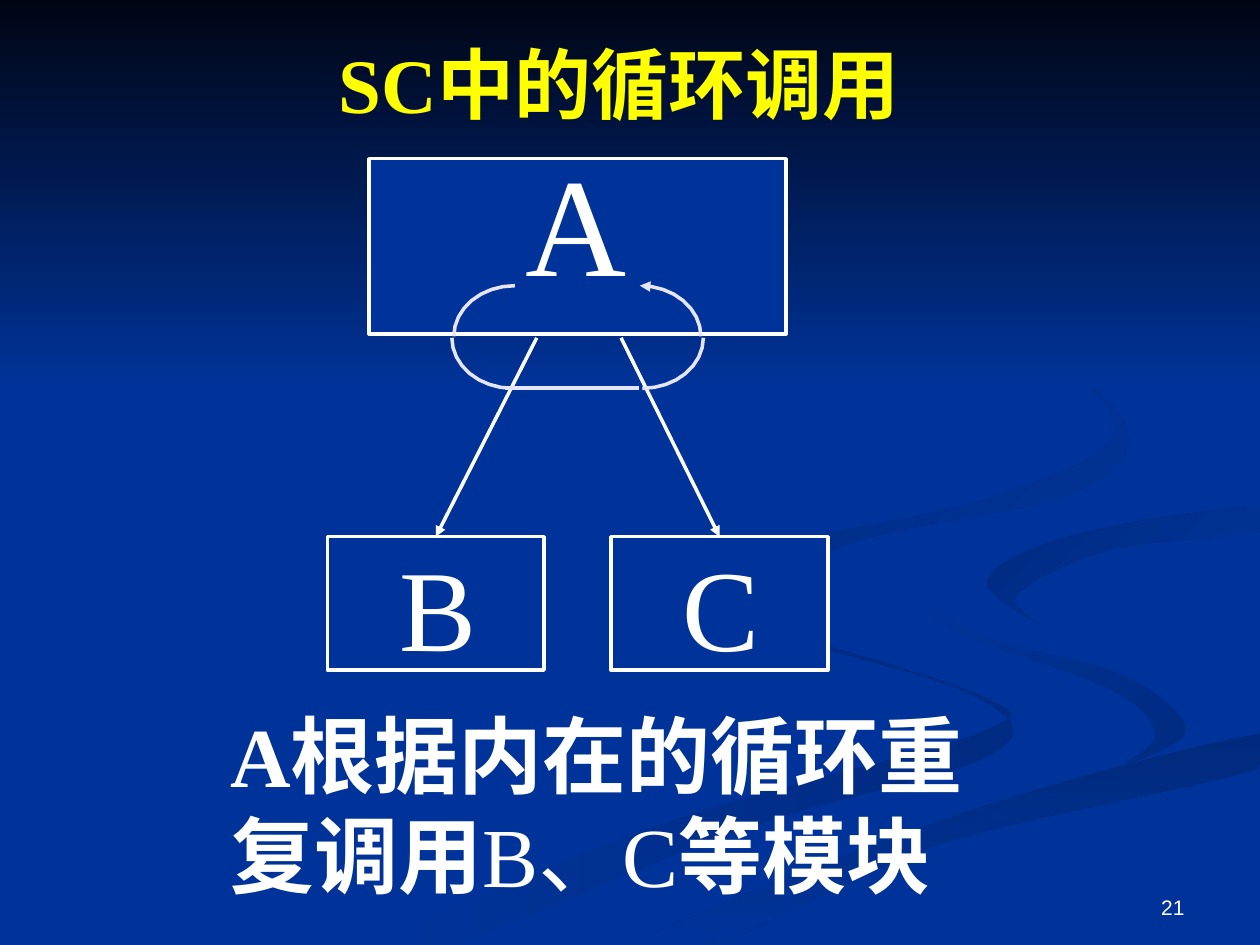
from math import cos, radians, sin

from lxml import etree
from pptx import Presentation
from pptx.dml.color import RGBColor
from pptx.enum.shapes import MSO_CONNECTOR, MSO_SHAPE
from pptx.enum.text import MSO_ANCHOR, MSO_AUTO_SIZE, PP_ALIGN
from pptx.oxml.ns import qn
from pptx.util import Cm, Pt

RECTANGLE = MSO_SHAPE.RECTANGLE
STRAIGHT = MSO_CONNECTOR.STRAIGHT
MIDDLE, BOTTOM = MSO_ANCHOR.MIDDLE, MSO_ANCHOR.BOTTOM
NO_FIT, FIT_SHAPE = MSO_AUTO_SIZE.NONE, MSO_AUTO_SIZE.SHAPE_TO_FIT_TEXT
CENTER, RIGHT = PP_ALIGN.CENTER, PP_ALIGN.RIGHT

SERIF, SANS, CJK = "Times New Roman", "Arial", "Noto Sans CJK SC"
HEX = {
    "blue": "003399", "night": "000514", "shade": "002B82", "deep": "002A7D",
    "white": "FFFFFF", "yellow": "FFFF00", "loop": "E5E5FF",
}
COLORS = {name: RGBColor.from_string(value) for name, value in HEX.items()}
STEPS = 8  # segments per curve piece

deck = Presentation()
deck.slide_width, deck.slide_height = Cm(25.4), Cm(19.05)
page = deck.slides.add_slide(deck.slide_layouts[5])
page.background.fill.solid()
page.background.fill.fore_color.rgb = COLORS["blue"]


def outline(points, closed):
    corners = [(Cm(x), Cm(y)) for x, y in points]
    builder = page.shapes.build_freeform(*corners[0], scale=1)
    builder.add_line_segments(corners[1:], close=closed)
    shape = builder.convert_to_shape()
    shape.shadow.inherit = False
    return shape


def write(para, runs, size, color):
    for text, font, bold in runs:
        span = para.add_run()
        span.text = text
        span.font.size, span.font.bold = Pt(size), bold
        span.font.color.rgb = COLORS[color]
        span.font.name = font
        if font == CJK:
            etree.SubElement(span.font._element, qn("a:ea")).set("typeface", font)


# Background ribbons: start colour, end colour, clockwise angle, guide points
ribbons = [
    ("blue", "shade", 0, [
        (14.6, 11.7), (14.8, 12.4), (19.7, 14), (19.7, 14.8), (13.7, 16.5), (7.6, 19),
        (9.2, 19), (15, 16.7), (20, 15.2), (19.6, 14), (15.1, 12.6)]),
    ("blue", "shade", 45, [
        (18.4, 11.8), (19.2, 12.7), (22.4, 13.9), (23.3, 14.8), (22.7, 15.4),
        (23.9, 14.7), (22.6, 13.6), (19.7, 12.8)]),
    ("deep", "blue", 90, [
        (12.8, 19), (14.5, 19), (19, 17), (25.35, 15.5), (25.35, 14.8), (19.4, 16.4)]),
    ("shade", "blue", 45, [
        (19.9, 11.7), (21, 12.6), (20.5, 12), (22.3, 11.1), (25.35, 10.7),
        (25.35, 10.2), (21.6, 10.8)]),
    ("shade", "blue", 45, [
        (17.3, 10.9), (21.7, 9.9), (22.6, 8.4), (19.4, 5.9), (22.5, 8.5),
        (20.1, 10), (15.2, 11.2), (15.8, 12.7), (15.1, 12)]),
]
backdrop = []
for start, end, angle, guides in ribbons:
    # A Catmull-Rom curve rounds the closed outline
    smooth = []
    for index, here in enumerate(guides):
        before = guides[index - 1]
        after, beyond = (guides[(index + ahead) % len(guides)] for ahead in (1, 2))
        for step in range(STEPS):
            t = step / STEPS
            x, y = (
                b + t / 2 * (c - a + t * (2 * a - 5 * b + 4 * c - d + t * (3 * (b - c) + d - a)))
                for a, b, c, d in zip(before, here, after, beyond))
            smooth.append((min(x, 25.4), min(y, 19.05)))
    backdrop.append((outline(smooth, True), start, end, angle))
band = page.shapes.add_shape(RECTANGLE, 0, 0, deck.slide_width, Cm(7.82))
band.shadow.inherit = False
backdrop.append((band, "night", "blue", 90))
for shape, start, end, angle in backdrop:
    shape.line.fill.background()
    shape.fill.gradient()
    shape.fill.gradient_angle = -angle % 360
    for stop, color in zip(shape.fill.gradient_stops, (start, end)):
        stop.color.rgb = COLORS[color]

# Title, brought in front of the backdrop
title = page.shapes.title
page.shapes._spTree.append(title._element)
title.left, title.top, title.width, title.height = Cm(1.9), Cm(0.38), Cm(21.16), Cm(2.59)
title.text_frame.auto_size = NO_FIT
title.text_frame.vertical_anchor = MIDDLE
title_para = title.text_frame.paragraphs[0]
title_para.alignment = CENTER
write(title_para, [("SC", SERIF, True), ("中的循环调用", CJK, True)], 44, "yellow")

# Modules: rectangle, letter box, letter size
modules = {
    "A": ((7.44, 3.2, 8.41, 3.53), (10.34, 2.62, 2.54, 3.63), 80),
    "B": ((6.6, 10.82, 4.37, 2.69), (7.8, 10.69, 2.06, 3.05), 66),
    "C": ((12.32, 10.82, 4.37, 2.69), (13.51, 10.69, 2.06, 3.05), 66),
}
frames = {}
for letter, (frame_place, letter_place, size) in modules.items():
    frame = page.shapes.add_shape(RECTANGLE, *map(Cm, frame_place))
    frame.shadow.inherit = False
    frame.fill.solid()
    frame.fill.fore_color.rgb = COLORS["blue"]
    frame.line.color.rgb = COLORS["white"]
    frame.line.width = Pt(2)
    frames[letter] = frame
    box = page.shapes.add_textbox(*map(Cm, letter_place))
    box.text_frame.word_wrap = False
    box.text_frame.auto_size = FIT_SHAPE
    write(box.text_frame.paragraphs[0], [(letter, SERIF, False)], size, "white")

# Calls from A to B and C
strokes = []
for letter, start_x in (("B", 10.82), ("C", 12.52)):
    call = page.shapes.add_connector(STRAIGHT, Cm(start_x), Cm(6.81), 0, 0)
    call.end_connect(frames[letter], 0)
    strokes.append((call, "white", True))

# Caption
caption = page.shapes.add_textbox(Cm(4.39), Cm(14.05), Cm(18.87), Cm(4.32))
caption.text_frame.word_wrap = True
caption.text_frame.auto_size = FIT_SHAPE
write(caption.text_frame.paragraphs[0],
      [("A", SERIF, True), ("根据内在的循环重", CJK, True)], 48, "white")
write(caption.text_frame.add_paragraph(),
      [("复调用", CJK, True), ("B", SERIF, False), ("、", CJK, False),
       ("C", SERIF, False), ("等模块", CJK, True)], 48, "white")

# Loop: quarter ellipses (centre, start and end angle) and a straight base
quarters = [
    (10.38, 6.78, 180, 270, False),
    (10.34, 6.81, 90, 180, False),
    (12.9, 6.78, 360, 270, True),
    (12.95, 6.81, 0, 90, False),
]
for center_x, center_y, first, last, arrow in quarters:
    angles = [radians(first + (last - first) * step / STEPS) for step in range(STEPS + 1)]
    curve = outline([(center_x + 1.23 * cos(a), center_y + 1.02 * sin(a)) for a in angles], False)
    curve.fill.background()
    strokes.append((curve, "loop", arrow))
base = page.shapes.add_connector(STRAIGHT, Cm(10.19), Cm(7.82), Cm(12.88), Cm(7.82))
strokes.append((base, "loop", False))

# Line formats and arrowheads
for stroke, color, arrow in strokes:
    stroke.line.color.rgb = COLORS[color]
    stroke.line.width = Pt(2)
    properties = stroke._element.spPr
    if arrow:
        etree.SubElement(properties.find(qn("a:ln")), qn("a:tailEnd")).set("type", "triangle")
    if properties.find(qn("a:effectLst")) is None:
        etree.SubElement(properties, qn("a:effectLst"))

# Page number
number = page.shapes.add_textbox(Cm(18.21), Cm(17.35), Cm(5.92), Cm(1.32))
number.text_frame.word_wrap = True
number.text_frame.vertical_anchor = BOTTOM
number_para = number.text_frame.paragraphs[0]
number_para.alignment = RIGHT
write(number_para, [("21", SANS, False)], 12, "white")

deck.save("out.pptx")
